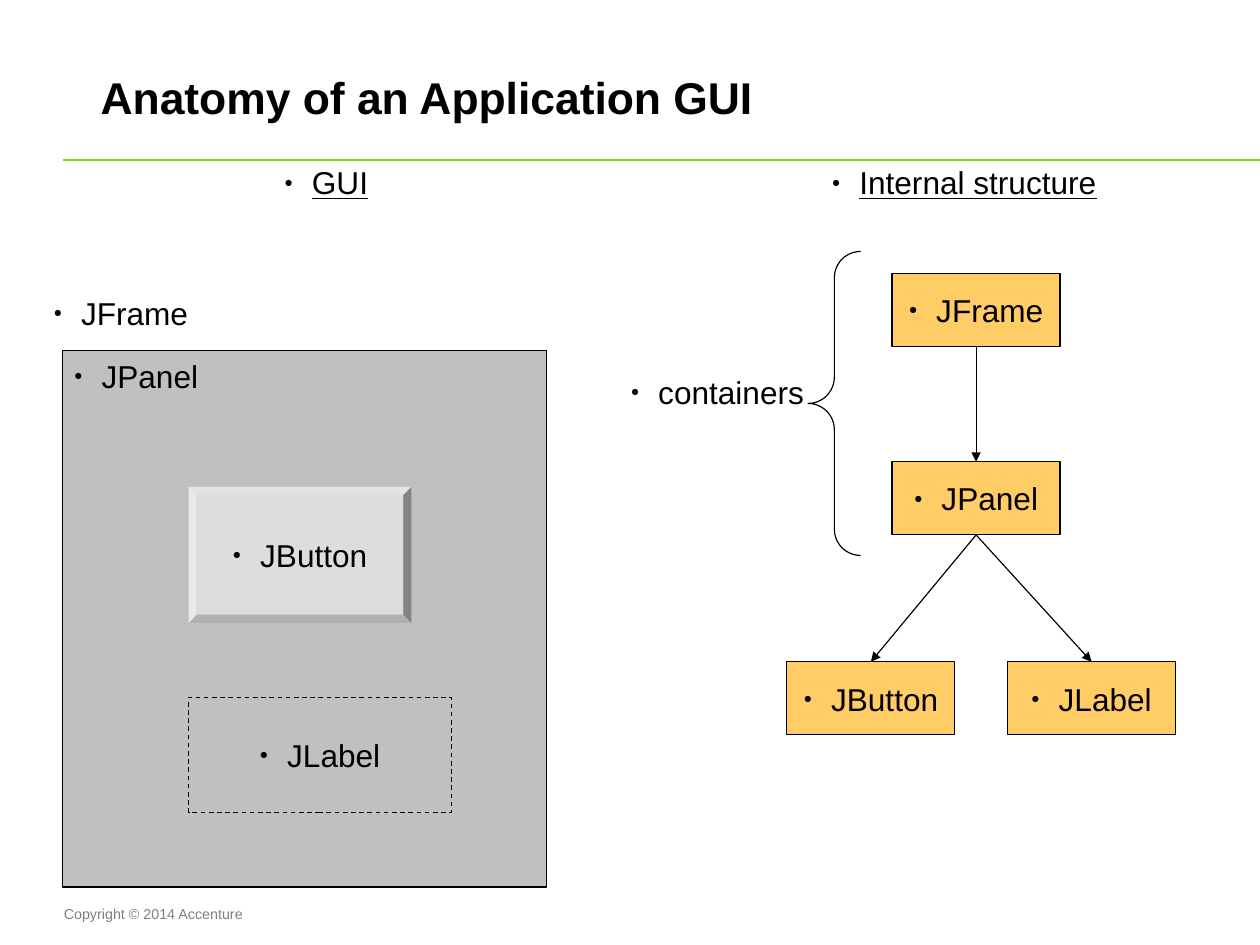
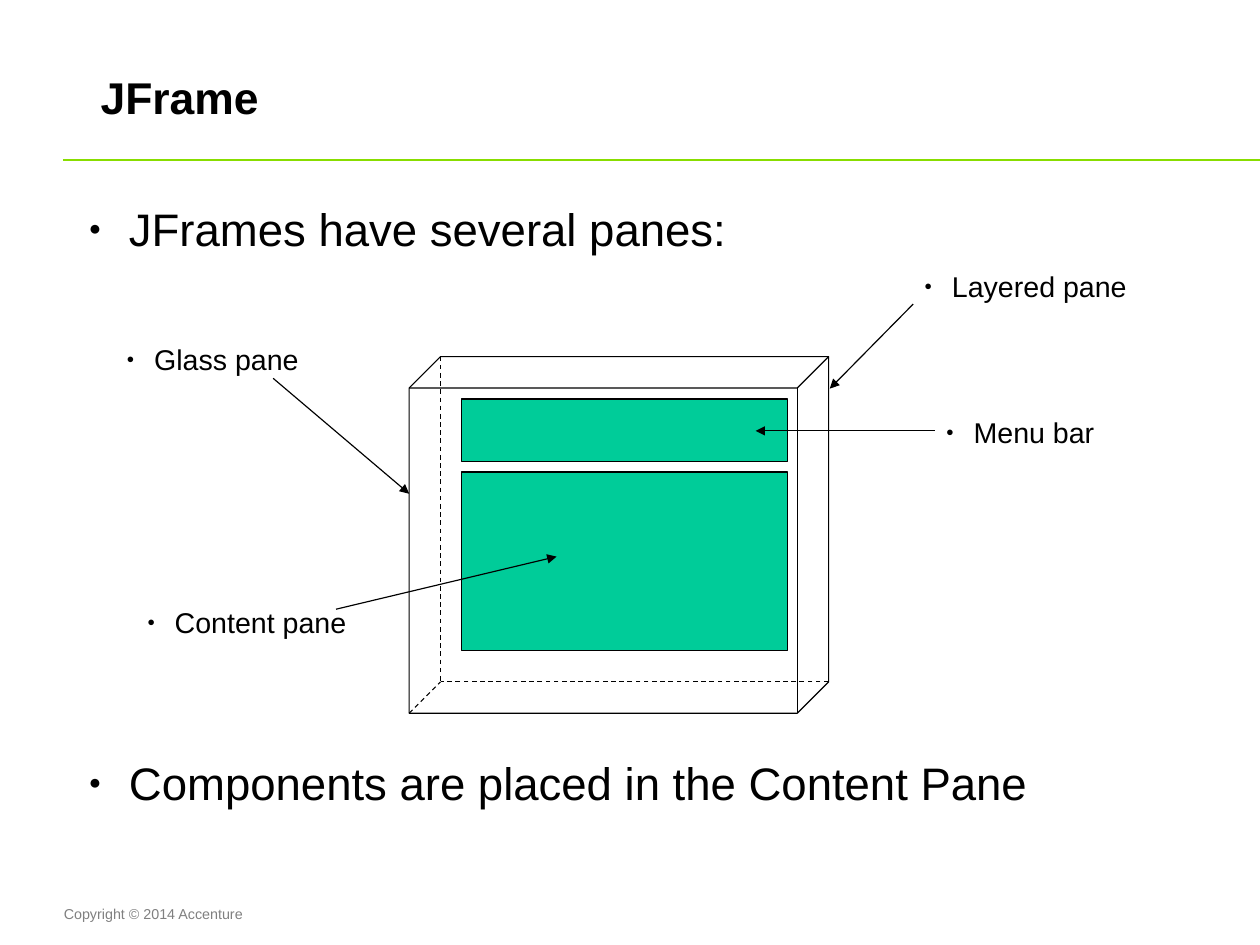
from dataclasses import dataclass

from lxml import etree
from pptx import Presentation
from pptx import util as u
from pptx.dml.color import RGBColor
from pptx.enum import dml, shapes, text
from pptx.oxml.ns import qn

WIDTH, HEIGHT = u.Cm(28), u.Cm(21)
COPYRIGHT = "Copyright © 2014 Accenture"


@dataclass(frozen=True)
class Theme:
    font: str = "Arial"
    ink: str = "000000"
    muted: str = "808080"
    rule: str = "88DD00"
    panel: str = "C0C0C0"
    button: str = "DDDDDD"
    node: str = "FFCC66"
    pane: str = "00CC99"
    title_size: float = 28
    body_size: float = 28.7
    diagram_size: float = 19.9
    label_size: float = 18
    footer_size: float = 9
    line: float = 0.75
    indent: float = 0.24
    body_indent: float = 0.35


THEME = Theme()
SHAPE = shapes.MSO_SHAPE
LEFT, CENTER = text.PP_ALIGN.LEFT, text.PP_ALIGN.CENTER
TOP, MIDDLE = text.MSO_ANCHOR.TOP, text.MSO_ANCHOR.MIDDLE
LABEL_SLACK = 0.08  # keeps each label on one line

# Anatomy slide: labels are (words, box, underlined)
ANATOMY_LABELS = [
    ("JFrame", (0.37, 2.52, 1.37, 0.43), False),
    ("GUI", (2.39, 1.38, 0.93, 0.43), True),
    ("Internal structure", (7.18, 1.38, 2.51, 0.43), True),
    ("containers", (5.42, 3.21, 1.71, 0.43), False),
]
NODE_SIZE = (1.47, 0.64)
TREE_NODES = [  # words, centre, top, index of the parent
    ("JFrame", 8.54, 2.39, None),
    ("JPanel", 8.54, 4.04, 0),
    ("JButton", 7.62, 5.79, 1),
    ("JLabel", 9.55, 5.79, 1),
]
BRACE = (7.07, 2.2, 0.46, 2.66)

# Frame slide
STATEMENTS = [("JFrames have several panes:", 1.71),
              ("Components are placed in the Content Pane", 6.56)]
CUBE = (3.58, 3.12, 3.67, 3.12)
CUBE_DEPTH = 0.088
PANE_LEFT, PANE_WIDTH = 4.04, 2.85
PANES = [(3.49, 0.55), (4.13, 1.56)]  # top, height
CALLOUTS = [  # words, box, arrow start, arrow end
    ("Glass pane", (1.01, 2.94, 1.7, 0.4), (2.39, 3.31), (3.58, 4.32)),
    ("Layered pane", (7.99, 2.3, 1.96, 0.4), (7.99, 2.66), (7.26, 3.4)),
    ("Menu bar", (8.18, 3.58, 1.49, 0.4), (8.18, 3.77), (6.61, 3.77)),
    ("Content pane", (1.19, 5.24, 1.94, 0.4), (2.94, 5.33), (4.87, 4.87)),
]


def inches(values):
    return [u.Inches(value) for value in values]


def assign(target, values):
    for name, value in values.items():
        setattr(target, name, value)


def add_bullet(para, indent):
    properties = para._p.get_or_add_pPr()
    properties.set("marL", str(u.Inches(indent)))
    properties.set("indent", str(-u.Inches(indent)))
    color = etree.SubElement(properties, qn("a:buClr"))
    etree.SubElement(color, qn("a:srgbClr"), val=THEME.ink)
    etree.SubElement(properties, qn("a:buSzPct"), val="45000")
    etree.SubElement(properties, qn("a:buFont"), typeface=THEME.font)
    etree.SubElement(properties, qn("a:buChar"), char="●")


def write(shape, words, size, color=THEME.ink, bullet=None, align=LEFT,
          anchor=TOP, wrap=False, **font):
    frame = shape.text_frame
    assign(frame, dict(word_wrap=wrap, vertical_anchor=anchor))
    para = frame.paragraphs[0]
    para.alignment = align
    if bullet:
        add_bullet(para, bullet)
    span = para.add_run()
    span.text = words
    assign(span.font, dict(name=THEME.font, size=u.Pt(size), **font))
    span.font.color.rgb = RGBColor.from_string(color)
    return para


def add_label(page, words, box, size, **style):
    left, top, width, height = box
    label = page.shapes.add_textbox(*inches((left, top, width + LABEL_SLACK, height)))
    write(label, words, size, wrap=True, **style)


def add_figure(page, kind, box, fill=None, line=THEME.ink, dashed=False, adjust=None):
    figure = page.shapes.add_shape(kind, *inches(box))
    figure.shadow.inherit = False
    if adjust is not None:
        figure.adjustments[0] = adjust
    if fill:
        figure.fill.solid()
        figure.fill.fore_color.rgb = RGBColor.from_string(fill)
    else:
        figure.fill.background()
    if line:
        draw_line(figure, line, THEME.line, dashed)
    else:
        figure.line.fill.background()
    return figure


def draw_line(shape, color, width, dashed):
    shape.line.color.rgb = RGBColor.from_string(color)
    shape.line.width = u.Pt(width)
    if dashed:
        shape.line.dash_style = dml.MSO_LINE.DASH


def add_line(page, start, end, color=THEME.ink, width=THEME.line, dashed=False, arrow=False):
    line = page.shapes.add_connector(shapes.MSO_CONNECTOR.STRAIGHT, *inches(start + end))
    draw_line(line, color, width, dashed)
    if arrow:
        etree.SubElement(line.line._get_or_add_ln(), qn("a:tailEnd"), type="triangle")
    etree.SubElement(line._element.spPr, qn("a:effectLst"))
    return line


def add_page(deck, title):
    """Add a slide with the shared title, rule and footer."""
    page = deck.slides.add_slide(deck.slide_layouts[5])
    add_line(page, (0.55, 1.4), (WIDTH.inches, 1.4), THEME.rule, 1)
    add_label(page, COPYRIGHT, (0.46, 7.87, 10.06, 0.25), THEME.footer_size,
              color=THEME.muted)
    heading = page.shapes.title
    assign(heading, dict(zip(("left", "top", "width", "height"),
                             inches((0.54, 0.37, 10.48, 0.95)))))
    para = write(heading, title, THEME.title_size, anchor=MIDDLE, wrap=True, bold=True)
    para._p.get_or_add_pPr().set("marL", str(u.Inches(THEME.indent)))
    return page


def build_anatomy(deck):
    page = add_page(deck, "Anatomy of an Application GUI")
    bulleted = dict(size=THEME.diagram_size, bullet=THEME.indent)
    centered = dict(bulleted, align=CENTER, anchor=MIDDLE)

    panel = add_figure(page, SHAPE.RECTANGLE, (0.55, 3.07, 4.23, 4.69), THEME.panel)
    write(panel, "JPanel", **bulleted)
    button = add_figure(page, SHAPE.BEVEL, (1.65, 4.26, 1.95, 1.19), THEME.button,
                        line=None, adjust=0.06)
    write(button, "JButton", **centered)
    label = add_figure(page, SHAPE.RECTANGLE, (1.65, 6.1, 2.3, 1.01), THEME.panel, dashed=True)
    write(label, "JLabel", **centered)

    for words, box, underline in ANATOMY_LABELS:
        add_label(page, words, box, underline=underline, **bulleted)

    nodes = []
    for words, center, top, parent in TREE_NODES:
        box = (center - NODE_SIZE[0] / 2, top) + NODE_SIZE
        node = add_figure(page, SHAPE.RECTANGLE, box, THEME.node)
        write(node, words, **centered)
        nodes.append(node)
        if parent is not None:
            link = add_line(page, (0, 0), (1, 1), arrow=True)
            link.begin_connect(nodes[parent], 2)
            link.end_connect(node, 0)
    add_figure(page, SHAPE.LEFT_BRACE, BRACE, adjust=0.5)


def build_frame(deck):
    page = add_page(deck, "JFrame")
    for words, top in STATEMENTS:
        add_label(page, words, (0.68, top, 9.81, 0.56), THEME.body_size,
                  bullet=THEME.body_indent)

    left, top, width, height = CUBE
    add_figure(page, SHAPE.CUBE, CUBE, adjust=CUBE_DEPTH)
    depth = CUBE_DEPTH * min(width, height)
    hidden_corner = (left + depth, top + height - depth)
    for end in [(left + depth, top), (left + width, top + height - depth),
                (left, top + height)]:
        add_line(page, end, hidden_corner, dashed=True)

    for pane_top, pane_height in PANES:
        add_figure(page, SHAPE.RECTANGLE,
                   (PANE_LEFT, pane_top, PANE_WIDTH, pane_height), THEME.pane)
    for words, box, start, end in CALLOUTS:
        add_label(page, words, box, THEME.label_size, bullet=THEME.indent)
        add_line(page, start, end, arrow=True)


def main():
    deck = Presentation()
    deck.slide_width, deck.slide_height = WIDTH, HEIGHT
    build_anatomy(deck)
    build_frame(deck)
    deck.save("out.pptx")


if __name__ == "__main__":
    main()
